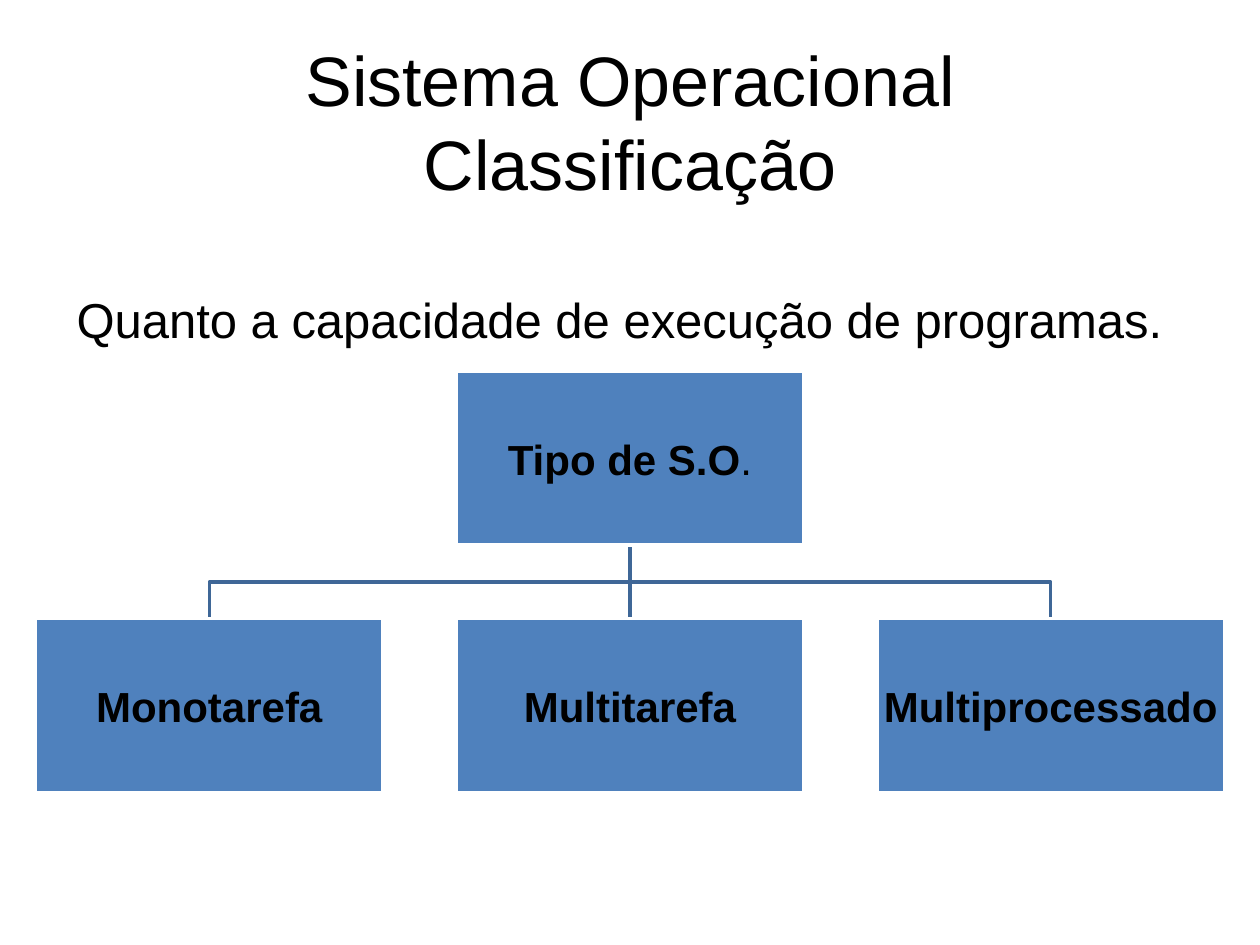
"""Build the slide that classifies operating systems by program execution."""
from lxml import etree
from pptx import Presentation
from pptx.dml.color import RGBColor
from pptx.enum import shapes, text
from pptx.oxml.ns import qn
from pptx.util import Pt


def color(value):
    return RGBColor.from_string(value)


def write(box, lines, size, align, anchor, inset_x, inset_y, bold=False):
    frame = box.text_frame
    settings = {
        "word_wrap": True, "vertical_anchor": anchor,
        "margin_left": Pt(inset_x), "margin_right": Pt(inset_x),
        "margin_top": Pt(inset_y), "margin_bottom": Pt(inset_y),
    }
    for name, value in settings.items():
        setattr(frame, name, value)
    para = frame.paragraphs[0]
    para.alignment = align
    for index, line in enumerate(lines):
        if index:
            para.add_line_break()
        span = para.add_run()
        span.text = line
        span.font.color.rgb = color("000000")
        for name, value in {"name": "Arial", "size": Pt(size), "bold": bold}.items():
            setattr(span.font, name, value)
    return para


deck = Presentation()
deck.slide_width, deck.slide_height = Pt(720), Pt(540)
page = deck.slides.add_slide(deck.slide_layouts[6])
center, middle = text.PP_ALIGN.CENTER, text.MSO_ANCHOR.MIDDLE

title = page.shapes.add_textbox(Pt(54), Pt(0), Pt(612), Pt(138))
write(title, ["Sistema Operacional", "Classificação"], 40, center, middle, 7.2, 3.6)

box_width, box_height = 198.6, 99.2
root_x, column_step = 360, 240.4
root_top, child_top = 212.4, 353.6
root_bottom = root_top + box_height
branch_y = (root_bottom + child_top) / 2

branches = []
for child_x in (root_x + column_step, root_x - column_step):
    builder = page.shapes.build_freeform(Pt(root_x), Pt(root_bottom))
    corners = [(root_x, branch_y), (child_x, branch_y), (child_x, child_top)]
    builder.add_line_segments([(Pt(x), Pt(y)) for x, y in corners], close=False)
    branch = builder.convert_to_shape()
    branch.fill.background()
    branch.shadow.inherit = False
    branches.append(branch)
trunk = page.shapes.add_connector(
    shapes.MSO_CONNECTOR.STRAIGHT, Pt(root_x), Pt(root_bottom), Pt(root_x), Pt(child_top))
etree.SubElement(trunk.element.find(qn("p:spPr")), qn("a:effectLst"))
branches.append(trunk)
for branch in branches:
    branch.line.color.rgb = color("3F6797")
    branch.line.width = Pt(2)

nodes = [
    ("Tipo de S.O", root_x, root_top),
    ("Monotarefa", root_x - column_step, child_top),
    ("Multitarefa", root_x, child_top),
    ("Multiprocessado", root_x + column_step, child_top),
]
labels = []
for label, x, top in nodes:
    box = page.shapes.add_shape(
        shapes.MSO_SHAPE.RECTANGLE,
        Pt(x - box_width / 2), Pt(top), Pt(box_width), Pt(box_height))
    box.shadow.inherit = False
    box.fill.solid()
    box.fill.fore_color.rgb = color("4F81BD")
    box.line.color.rgb = color("FFFFFF")
    box.line.width = Pt(2)
    labels.append(write(box, [label], 24, center, middle, 1.2, 1.2, bold=True))

period = labels[0].add_run()
period.text = "."
period.font.color.rgb = color("000000")
for name, value in {"name": "Arial", "size": Pt(24), "bold": False}.items():
    setattr(period.font, name, value)

subtitle = page.shapes.add_textbox(Pt(36.7), Pt(162), Pt(652.3), Pt(41))
write(subtitle, ["Quanto a capacidade de execução de programas."], 28,
      text.PP_ALIGN.LEFT, text.MSO_ANCHOR.TOP, 7.2, 3.6)

deck.save("out.pptx")
